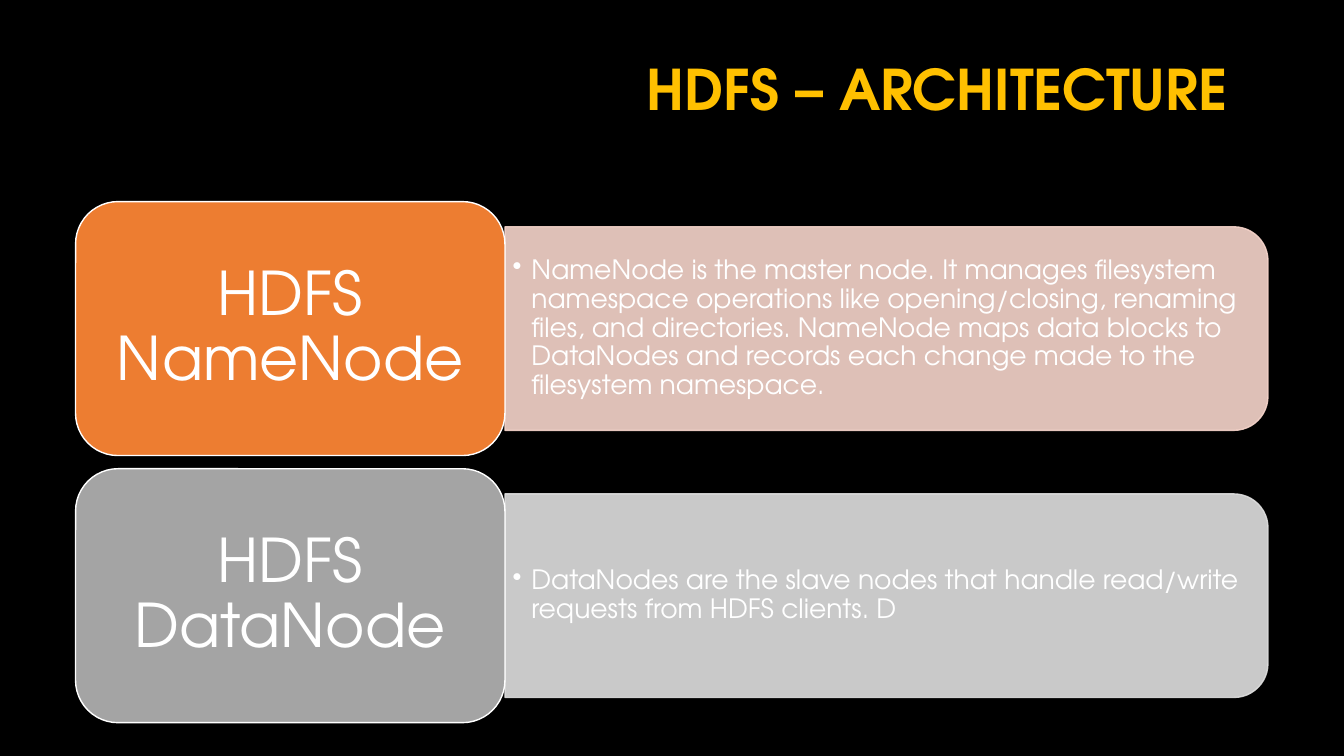
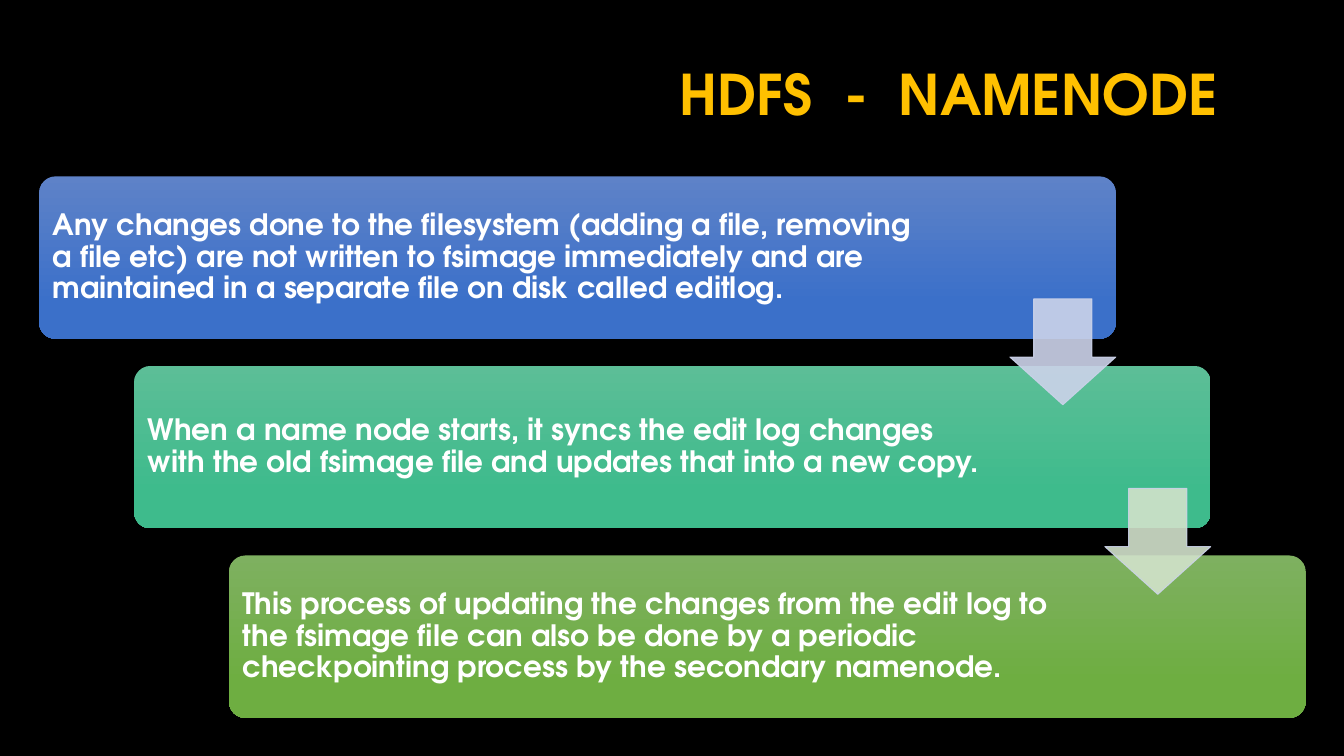
from lxml import etree
from pptx import Presentation
from pptx.dml.color import RGBColor
from pptx.enum import shapes, text
from pptx.oxml.ns import qn
from pptx.util import Pt

FONT = "TeX Gyre Adventor"
WHITE, GOLD = "FFFFFF", "FFC000"
LEFT, MID, RIGHT = text.PP_ALIGN.LEFT, text.PP_ALIGN.CENTER, text.PP_ALIGN.RIGHT
KIND = shapes.MSO_SHAPE
rgb = RGBColor.from_string


def draw(slide, kind, box, adj, fill, line=None, width=1, alpha=None):
    """Add a preset shape; two fill colours make a gradient from top to bottom."""
    shape = slide.shapes.add_shape(kind, *map(Pt, box))
    shape.shadow.inherit = False
    for i, val in enumerate(adj):
        shape.adjustments[i] = val
    if len(fill) == 2:
        shape.fill.gradient()
        shape.fill.gradient_angle = 270
        for stop, hue, pos in zip(shape.fill.gradient_stops, fill, (0, 0.78)):
            stop.color.rgb = rgb(hue)
            stop.position = pos
    else:
        shape.fill.solid()
        shape.fill.fore_color.rgb = rgb(fill[0])
    if line:
        shape.line.color.rgb = rgb(line)
        shape.line.width = Pt(width)
    else:
        shape.line.fill.background()
    if alpha:
        for hue in shape._element.spPr.iter(qn("a:srgbClr")):
            etree.SubElement(hue, qn("a:alpha")).set("val", str(alpha * 1000))
    return shape


def write(shape, words, size, pad, align=LEFT, hue=WHITE, bold=False, bullet=False):
    """Fill a shape with one paragraph; pad holds left, top, right, bottom."""
    frame = shape.text_frame
    frame.word_wrap = True
    frame.vertical_anchor = text.MSO_ANCHOR.MIDDLE
    (frame.margin_left, frame.margin_top,
     frame.margin_right, frame.margin_bottom) = map(Pt, pad)
    para = frame.paragraphs[0]
    para.alignment = align
    para.line_spacing = 0.9
    if bullet:
        props = para._p.get_or_add_pPr()
        props.set("marL", str(Pt(13.5)))
        props.set("indent", str(Pt(-13.5)))
        tint = etree.SubElement(props, qn("a:buClr"))
        etree.SubElement(tint, qn("a:srgbClr")).set("val", hue)
        etree.SubElement(props, qn("a:buChar")).set("char", "•")
    run = para.add_run()
    run.text = words
    run.font.name = FONT
    run.font.size = Pt(size)
    run.font.bold = bold
    run.font.color.rgb = rgb(hue)


deck = Presentation()
deck.slide_width, deck.slide_height = Pt(960), Pt(540)

# Both slides: black ground and a gold title on the right
pages = []
for title, left, top in (
    ("HDFS – ARCHITECTURE ", 216.7, 23.8),
    ("HDFS  -  NAMENODE", 198.7, 27.4),
):
    page = deck.slides.add_slide(deck.slide_layouts[6])
    page.background.fill.solid()
    page.background.fill.fore_color.rgb = rgb("000000")
    head = page.shapes.add_textbox(Pt(left), Pt(top), Pt(678.2), Pt(84))
    write(head, title, 40, (7.2, 3.6, 7.2, 3.6), RIGHT, GOLD, bold=True)
    pages.append(page)
arch, name = pages

# Architecture: a card with its panel in each row
nodes = (
    ("HDFS NameNode", "ED7D31", "F7D5CB",
     "NameNode is the master node. It manages filesystem namespace operations "
     "like opening/closing, renaming files, and directories. NameNode maps data "
     "blocks to DataNodes and records each change made to the filesystem namespace."),
    ("HDFS DataNode", "A4A4A4", "DFDFDF",
     "DataNodes are the slave nodes that handle read/write requests from HDFS "
     "clients. D"),
)
card_x, card_w, card_h = 54, 306.7, 181.4
side_w, side_h, note_h = 545, 145.4, 131
edge = card_x + card_w
for i, (label, hue, pale, words) in enumerate(nodes):
    top = 144 + i * 190.8
    axis = top + card_h / 2
    # Turned a quarter, so that the round corners face right
    box = (edge + (side_w - side_h) / 2, axis - side_w / 2, side_h, side_w)
    side = draw(arch, KIND.ROUND_2_SAME_RECTANGLE, box, (0.167, 0),
                (pale,), pale, alpha=90)
    side.rotation = 90
    note = arch.shapes.add_textbox(
        Pt(edge), Pt(axis - note_h / 2), Pt(537.8), Pt(note_h))
    write(note, words, 19, (5.4, 2.7, 5.4, 2.7), bullet=True)
    card = draw(arch, KIND.ROUNDED_RECTANGLE, (card_x, top, card_w, card_h),
                (0.167,), (hue,), WHITE)
    write(card, label, 43, (13, 6.5, 13, 6.5), MID)

# NameNode: three steps going down to the right
steps = (
    ("5E82C8", "3B70C9", 125,
     "Any changes done to the filesystem (adding a file, removing a file etc) are "
     "not written to fsimage immediately and are maintained in a separate file on "
     "disk called editlog."),
    ("5CBE97", "3EBB8C", 150,
     "When a name node starts, it syncs the edit log changes with the old fsimage "
     "file and updates that into a new copy."),
    ("7EB060", "6EAE41", 150,
     "This process of updating the changes from the edit log to the fsimage file "
     "can also be done by a periodic checkpointing process by the secondary "
     "namenode."),
)
step_x, step_y = 67.8, 135.4
for i, (light, deep, room, words) in enumerate(steps):
    box = (28 + i * step_x, 126 + i * step_y, 769, 116)
    step = draw(name, KIND.ROUNDED_RECTANGLE, box, (0.1,), (light, deep))
    write(step, words, 21, (6.3, 6.3, room, 6.3), bold=True)

for i, hue in enumerate(("CCD3EA", "D2E2CB")):
    box = (721.4 + i * step_x, 213.5 + i * step_y, 75.6, 75.6)
    arrow = draw(name, KIND.DOWN_ARROW, box, (), (hue,), "CCD3EA", 0.75, 90)
    # The first value is the head's length, the second the shaft's width
    arrow.adjustments[0], arrow.adjustments[1] = 0.55, 0.45

deck.save("out.pptx")
